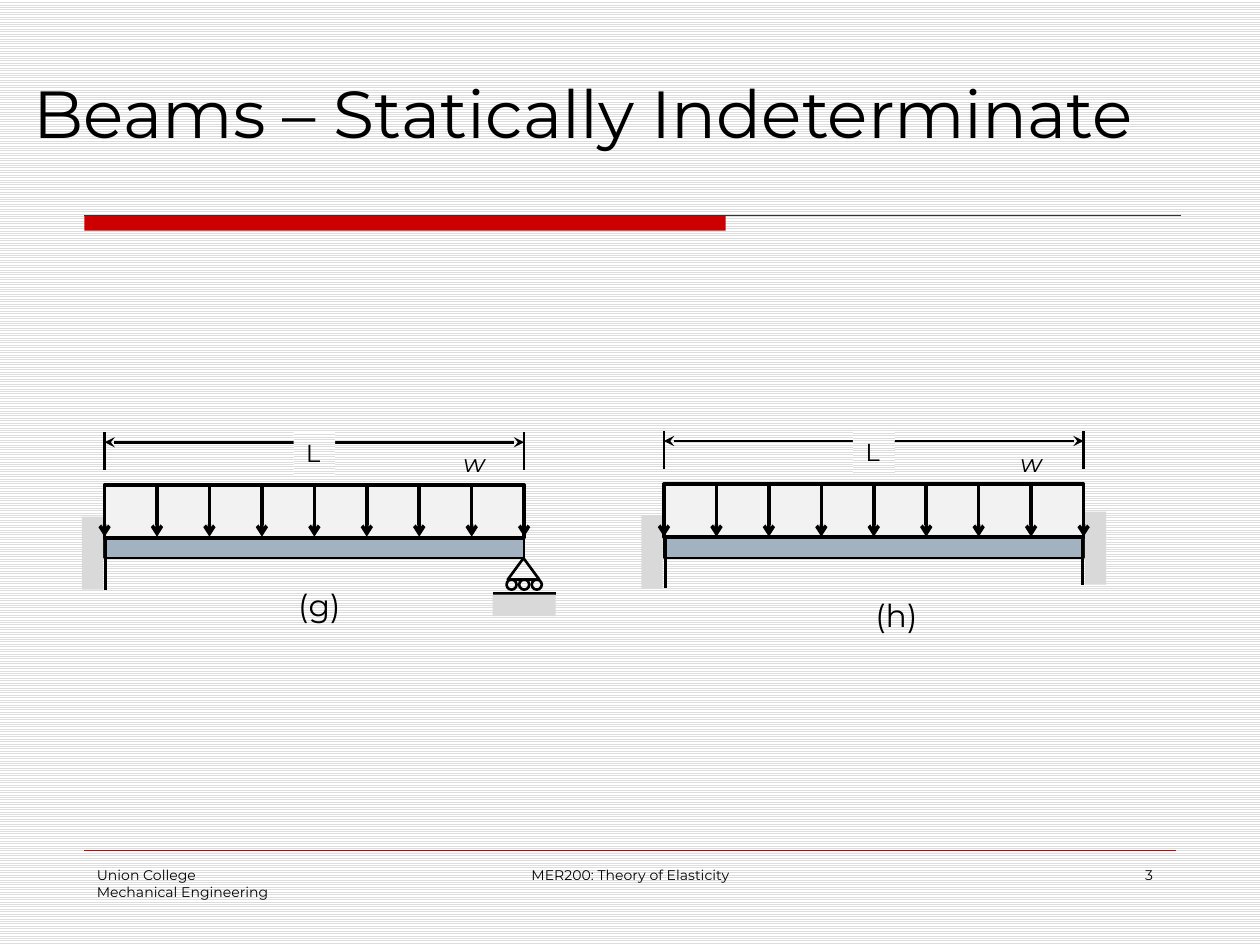
"""Builds the slide on statically indeterminate beams."""
from dataclasses import dataclass
from typing import Optional

from lxml.etree import SubElement
from pptx import Presentation
from pptx.dml.color import RGBColor
from pptx.enum.dml import MSO_PATTERN
from pptx.enum.shapes import MSO_CONNECTOR, MSO_SHAPE
from pptx.enum.text import MSO_ANCHOR, PP_ALIGN
from pptx.oxml.ns import qn
from pptx.util import Inches, Pt

BLACK = RGBColor(0x00, 0x00, 0x00)
WHITE = RGBColor(0xFF, 0xFF, 0xFF)
STRIPE = RGBColor(0xDD, 0xDD, 0xDD)
RED = RGBColor(0xCC, 0x00, 0x00)
RULE = RGBColor(0x33, 0x33, 0x33)
STEEL = RGBColor(0xA3, 0xB2, 0xC1)
GROUND = RGBColor(0xD9, 0xD9, 0xD9)
LOAD = RGBColor(0xF2, 0xF2, 0xF2)

SPAN = 3.33
LOAD_HEIGHT = 0.42
BEAM_TOP = 4.26
BEAM_HEIGHT = 0.17
LOAD_STEPS = 8
WALL_WIDTH = 0.17
WALL_HEIGHT = 0.58


@dataclass(frozen=True)
class Caption:
    text: str
    left: float
    top: float
    width: float
    height: float
    size: float
    align: PP_ALIGN = PP_ALIGN.LEFT
    anchor: MSO_ANCHOR = MSO_ANCHOR.TOP
    italic: bool = False
    wrap: bool = True


@dataclass(frozen=True)
class Beam:
    left: float
    load_top: float
    load_name_left: float
    label: str
    label_left: float
    label_top: float
    right_support: str


CAPTIONS = (
    Caption("Union College\nMechanical Engineering", 0.67, 6.83, 2.08, 0.5, 8),
    Caption("MER200: Theory of Elasticity", 3.42, 6.83, 3.17, 0.5, 8, PP_ALIGN.CENTER),
    Caption("3", 7.17, 6.83, 2.08, 0.5, 8, PP_ALIGN.RIGHT),
    Caption("Beams – Statically Indeterminate", 0.17, 0.5, 9.83, 0.75, 38,
            anchor=MSO_ANCHOR.BOTTOM),
)
BEAMS = (
    Beam(0.83, 3.85, 3.58, "(g)", 2.25, 4.6, "roller"),
    Beam(5.27, 3.84, 8.0, "(h)", 6.83, 4.68, "wall"),
)


def stripe(fill) -> None:
    fill.patterned()
    fill.pattern = MSO_PATTERN.LIGHT_HORIZONTAL
    fill.fore_color.rgb = STRIPE
    fill.back_color.rgb = WHITE


def write(holder, caption: Caption) -> None:
    frame = holder.text_frame
    frame.word_wrap = caption.wrap
    frame.vertical_anchor = caption.anchor
    frame.text = caption.text
    font_format = {"name": "Montserrat", "size": Pt(caption.size), "italic": caption.italic}
    for paragraph in frame.paragraphs:
        paragraph.alignment = caption.align
        for run in paragraph.runs:
            for attribute, value in font_format.items():
                setattr(run.font, attribute, value)
            run.font.color.rgb = BLACK


def add_caption(slide, caption: Caption) -> None:
    write(slide.shapes.add_textbox(Inches(caption.left), Inches(caption.top),
                                   Inches(caption.width), Inches(caption.height)), caption)


def add_block(slide, left: float, top: float, width: float, height: float,
              color: Optional[RGBColor] = None, outline: float = 0,
              kind: MSO_SHAPE = MSO_SHAPE.RECTANGLE):
    block = slide.shapes.add_shape(kind, Inches(left), Inches(top), Inches(width), Inches(height))
    block.shadow.inherit = False
    if color is None:
        block.fill.background()
    else:
        block.fill.solid()
        block.fill.fore_color.rgb = color
    if outline:
        block.line.color.rgb = BLACK
        block.line.width = Pt(outline)
    else:
        block.line.fill.background()
    return block


def add_line(slide, x1: float, y1: float, x2: float, y2: float, width: float = 1.5,
             color: RGBColor = BLACK, head: str = "", tail: str = ""):
    line = slide.shapes.add_connector(MSO_CONNECTOR.STRAIGHT, Inches(x1), Inches(y1),
                                      Inches(x2), Inches(y2))
    line.line.color.rgb = color
    line.line.width = Pt(width)
    for tag, arrow in (("a:headEnd", head), ("a:tailEnd", tail)):
        if arrow:
            SubElement(line.line._get_or_add_ln(), qn(tag), type=arrow)
    SubElement(line._element.spPr, qn("a:effectLst"))
    return line


def add_wall(slide, face: float, edge: float, top: float) -> None:
    add_line(slide, face, top, face, top + WALL_HEIGHT)
    add_block(slide, edge, top, WALL_WIDTH, WALL_HEIGHT, GROUND)


def add_roller(slide, center: float) -> None:
    add_line(slide, center - 0.25, 4.71, center + 0.25, 4.71)
    add_block(slide, center - 0.25, 4.72, 0.5, 0.17, GROUND)
    for offset in (-0.1, 0, 0.1):
        add_block(slide, center + offset - 0.04, 4.6, 0.08, 0.08, outline=1.5,
                  kind=MSO_SHAPE.OVAL)
    add_block(slide, center - 0.13, 4.43, 0.25, 0.17, outline=1.5,
              kind=MSO_SHAPE.ISOSCELES_TRIANGLE)


def add_dimension(slide, left: float, top: float) -> None:
    right = left + SPAN
    for end in (left, right):
        add_line(slide, end, top + 0.3, end, top)
    add_line(slide, left, top + 0.08, right, top + 0.08, head="stealth", tail="stealth")
    length = Caption("L", left + 1.5, top, 0.33, 0.34, 14, wrap=False)
    plate = add_block(slide, length.left, length.top, length.width, length.height)
    stripe(plate.fill)
    write(plate, length)


def add_beam(slide, beam: Beam) -> None:
    right = beam.left + SPAN
    girder = add_block(slide, beam.left, BEAM_TOP, SPAN, BEAM_HEIGHT, STEEL, 1.5)
    add_wall(slide, beam.left + 0.01, beam.left - 0.18, beam.load_top + 0.25)
    if beam.right_support == "roller":
        add_roller(slide, right)
    else:
        add_wall(slide, right - 0.01, right + 0.01, beam.load_top + 0.22)
    load = add_block(slide, beam.left, beam.load_top, SPAN, LOAD_HEIGHT, LOAD, 2)
    for step in range(LOAD_STEPS + 1):
        x = beam.left + SPAN * step / LOAD_STEPS
        force = add_line(slide, x, beam.load_top, x, BEAM_TOP, 2, tail="arrow")
        if step * 2 == LOAD_STEPS:
            force.begin_connect(load, 0)
            force.end_connect(girder, 0)
    add_caption(slide, Caption("w", beam.load_name_left, 3.51, 0.39, 0.34, 14,
                               italic=True, wrap=False))
    add_dimension(slide, beam.left, beam.load_top - 0.42)
    add_caption(slide, Caption(beam.label, beam.label_left, beam.label_top, 0.57, 0.4, 18,
                               PP_ALIGN.CENTER, wrap=False))


def main() -> None:
    deck = Presentation()
    deck.slide_width, deck.slide_height = Inches(10), Inches(7.5)
    slide = deck.slides.add_slide(deck.slide_layouts[6])
    stripe(slide.background.fill)
    add_block(slide, 0.67, 1.71, 5.09, 0.12, RED)
    add_line(slide, 0.67, 1.71, 9.37, 1.71, 0.75, RULE)
    add_line(slide, 0.67, 6.75, 9.33, 6.75, 0.25, RED)
    for caption in CAPTIONS:
        add_caption(slide, caption)
    for beam in BEAMS:
        add_beam(slide, beam)
    deck.save("out.pptx")


if __name__ == "__main__":
    main()
